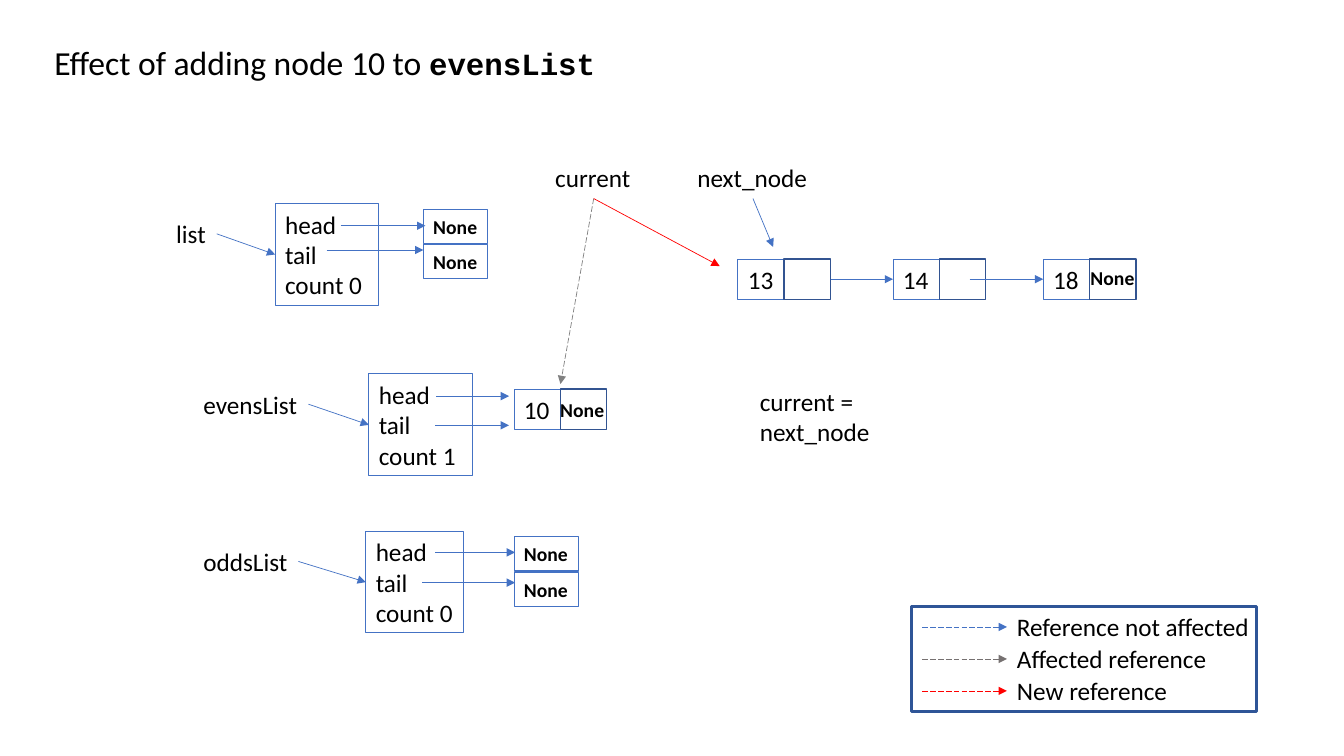
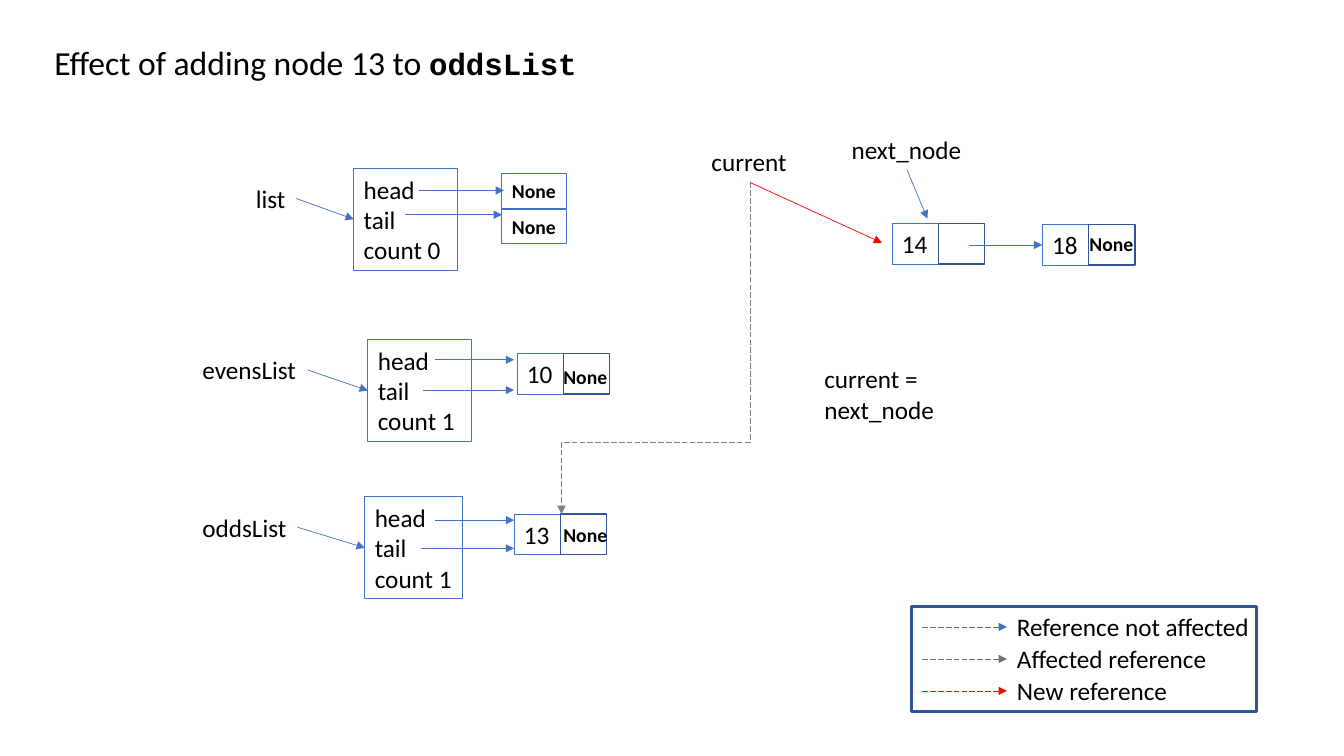
"""Build two slides that show how references change as nodes move between linked lists."""
from collections import namedtuple
from dataclasses import dataclass

from lxml import etree
from pptx import Presentation
from pptx.dml.color import RGBColor
from pptx.enum.dml import MSO_LINE
from pptx.enum.shapes import MSO_CONNECTOR as CONNECTOR, MSO_SHAPE as SHAPE
from pptx.enum.text import MSO_AUTO_SIZE as AUTO_SIZE, PP_ALIGN as ALIGN
from pptx.oxml.ns import qn
from pptx.util import Inches, Pt


@dataclass(frozen=True)
class Theme:
    text: str = "000000"
    blue: str = "4472C4"
    next_border: str = "325491"
    legend_border: str = "2F5597"
    affected: str = "808080"
    legend_affected: str = "767171"
    red: str = "FF0000"
    body_font: str = "Calibri"
    code_font: str = "Courier New"
    title_size: int = 24
    code_size: int = 22
    body_size: int = 18
    none_size: int = 14


THEME = Theme()
CELL = Inches(0.1)
COLUMNS, ROWS = 133.33, 75
LINE_HEIGHT, NODE_WIDTH = 4, 4.6
NONE_WIDTH, NONE_HEIGHT = 6.4, 3.4
LIST_HEIGHT = 10.1

ListBox = namedtuple("ListBox", "name label_left label_width left top width count fields")
Node = namedtuple("Node", "left top value none_offset")
Scene = namedtuple("Scene", "added target lists nodes links current next_node "
                            "new_end old_end elbow statement")

LIST_FIELDS = [(6.5, 14.9, 2.2), (5.1, 14.7, 4.6)]
SCENES = [
    Scene(
        10, "evensList",
        [ListBox("list", 16.5, 5, 27.3, 20.2, 10.3, 0, LIST_FIELDS),
         ListBox("evensList", 19.2, 11.4, 36.6, 37.1, 10.3, 1,
                 [(6.7, 13.9, 2.2), (6.6, 13.9, 5.1)]),
         ListBox("oddsList", 19.2, 10.4, 36.3, 52.7, 9.7, 0,
                 [(6.9, 14.8, 2.1), (5.6, 14.8, 5.1)])],
        [Node(51, 38.6, 10, (3.6, 0.4)), Node(73.2, 25.7, 13, None),
         Node(88.6, 25.7, 14, None), Node(103.5, 25.7, 18, (3.7, 0.2))],
        [(82.4, 88.6, 27.7), (96.2, 103.5, 27.7)],
        (54.1, 15.6), (68.2, 15.6), (71.4, 26.4), (55.6, 38.1), False, (74.4, 37.8)),
    Scene(
        13, "oddsList",
        [ListBox("list", 24.4, 5, 35.1, 16.7, 10.3, 0, LIST_FIELDS),
         ListBox("evensList", 19.1, 11.4, 36.5, 33.7, 10.3, 1,
                 [(6.7, 14.5, 2), (5.5, 14.5, 5)]),
         ListBox("oddsList", 19.1, 10.4, 36.2, 49.3, 9.7, 1,
                 [(7, 14.8, 2.3), (5.6, 14.8, 5.1)])],
        [Node(51.3, 35.1, 10, (3.6, 0.6)), Node(51, 51, 13, (3.9, 0.4)),
         Node(88.5, 22.2, 14, None), Node(103.4, 22.3, 18, (3.7, 0.2))],
        [(96.1, 103.4, 24.3)],
        (69.6, 14), (83.5, 12.8), (87.5, 24.1), (55.7, 51), True, (80.8, 35.6)),
]
LEGEND = [("Reference not affected", 25.4, THEME.blue),
          ("Affected reference", 21.1, THEME.legend_affected),
          ("New reference", 17.1, THEME.red)]


def add_block(slide, left, top, width, height, text="", border=None, weight=0.75,
              size=THEME.body_size, bold=False):
    """Add an outlined rectangle, or a plain text box when there is no border."""
    place = [round(cells * CELL) for cells in (left, top, width, height)]
    if border:
        shape = slide.shapes.add_shape(SHAPE.RECTANGLE, *place)
        shape.shadow.inherit = False
        shape.fill.background()
        shape.line.color.rgb = RGBColor.from_string(border)
        shape.line.width = Pt(weight)
    else:
        shape = slide.shapes.add_textbox(*place)
    if text:
        frame = shape.text_frame
        frame.word_wrap = False
        frame.auto_size = AUTO_SIZE.SHAPE_TO_FIT_TEXT
        frame.text = text
        for paragraph in frame.paragraphs:
            paragraph.alignment = ALIGN.LEFT
            paragraph.font.name = THEME.body_font
            paragraph.font.size = Pt(size)
            paragraph.font.bold = bold
            paragraph.font.color.rgb = RGBColor.from_string(THEME.text)
    return shape


def add_arrow(slide, start, end, color=THEME.blue, dashed=False, kind=CONNECTOR.STRAIGHT):
    """Add a thin connector with a triangle at its end."""
    points = [round(cells * CELL) for cells in (*start, *end)]
    connector = slide.shapes.add_connector(kind, *points)
    connector.line.color.rgb = RGBColor.from_string(color)
    connector.line.width = Pt(0.5)
    if dashed:
        connector.line.dash_style = MSO_LINE.LONG_DASH
    properties = connector.element.spPr
    etree.SubElement(properties.find(qn("a:ln")), qn("a:tailEnd"), type="triangle")
    etree.SubElement(properties, qn("a:effectLst"))
    return connector


presentation = Presentation()
presentation.slide_width = round(COLUMNS * CELL)
presentation.slide_height = ROWS * CELL

for scene in SCENES:
    slide = presentation.slides.add_slide(presentation.slide_layouts[6])

    title = add_block(slide, 4.4, 3.7, 57, 5, f"Effect of adding node {scene.added} to ",
                      size=THEME.title_size)
    code = title.text_frame.paragraphs[0].add_run()
    code.text = scene.target
    code.font.name = THEME.code_font
    code.font.size = Pt(THEME.code_size)
    code.font.bold = True

    for node in scene.nodes:
        add_block(slide, node.left, node.top, NODE_WIDTH, LINE_HEIGHT, str(node.value),
                  THEME.blue)
        add_block(slide, node.left + NODE_WIDTH, node.top, NODE_WIDTH, LINE_HEIGHT,
                  border=THEME.next_border, weight=1)
        if node.none_offset:
            across, down = node.none_offset
            add_block(slide, node.left + across, node.top + down, NONE_WIDTH, NONE_HEIGHT,
                      "None", size=THEME.none_size, bold=True)

    for box in scene.lists:
        add_block(slide, box.label_left, box.top + 1, box.label_width, LINE_HEIGHT, box.name)
        add_block(slide, box.left, box.top, box.width, LIST_HEIGHT,
                  f"head\ntail\ncount {box.count}", THEME.blue)
        add_arrow(slide, (box.label_left + box.label_width, box.top + 3),
                  (box.left, box.top + LIST_HEIGHT / 2))
        if box.count == 0:
            for row in range(2):
                add_block(slide, box.left + 14.7, box.top + 0.55 + 3.5 * row, NONE_WIDTH,
                          NONE_HEIGHT, "None", THEME.blue, size=THEME.none_size, bold=True)
        for start, end, drop in box.fields:
            add_arrow(slide, (box.left + start, box.top + drop),
                      (box.left + end, box.top + drop))

    for start, end, row in scene.links:
        add_arrow(slide, (start, row), (end, row))

    left, top = scene.next_node
    add_block(slide, left, top, 13, LINE_HEIGHT, "next_node")
    add_arrow(slide, (left + 6.5, top + 4.1), (left + 8.5, top + 8.9))

    left, top = scene.current
    add_block(slide, left, top, 9.6, LINE_HEIGHT, "current")
    origin = (left + 4.8, top + 4.1)
    if scene.elbow:
        middle_x = (origin[0] + scene.old_end[0]) / 2
        middle_y = (origin[1] + scene.old_end[1]) / 2
        half_run = (scene.old_end[1] - origin[1]) / 2
        half_rise = (origin[0] - scene.old_end[0]) / 2
        elbow = add_arrow(slide, (middle_x - half_run, middle_y - half_rise),
                          (middle_x + half_run, middle_y + half_rise),
                          THEME.affected, True, CONNECTOR.ELBOW)
        properties = elbow.element.spPr
        properties.find(qn("a:xfrm")).set("rot", "5400000")
        adjustments = properties.find(qn("a:prstGeom")).find(qn("a:avLst"))
        etree.SubElement(adjustments, qn("a:gd"), name="adj1", fmla="val 78300")
    else:
        add_arrow(slide, origin, scene.old_end, THEME.affected, True)
    add_arrow(slide, origin, scene.new_end, THEME.red)

    add_block(slide, *scene.statement, 22.6, LINE_HEIGHT, "current = next_node")

    for index, (label, width, color) in enumerate(LEGEND):
        top = 60.2 + 3.17 * index
        add_block(slide, 99.9, top, width, LINE_HEIGHT, label)
        add_arrow(slide, (91.5, top + 2), (99.9, top + 2), color, True)
    add_block(slide, 90.4, 60.2, 34.3, 10.4, border=THEME.legend_border, weight=2.25)

presentation.save("out.pptx")
